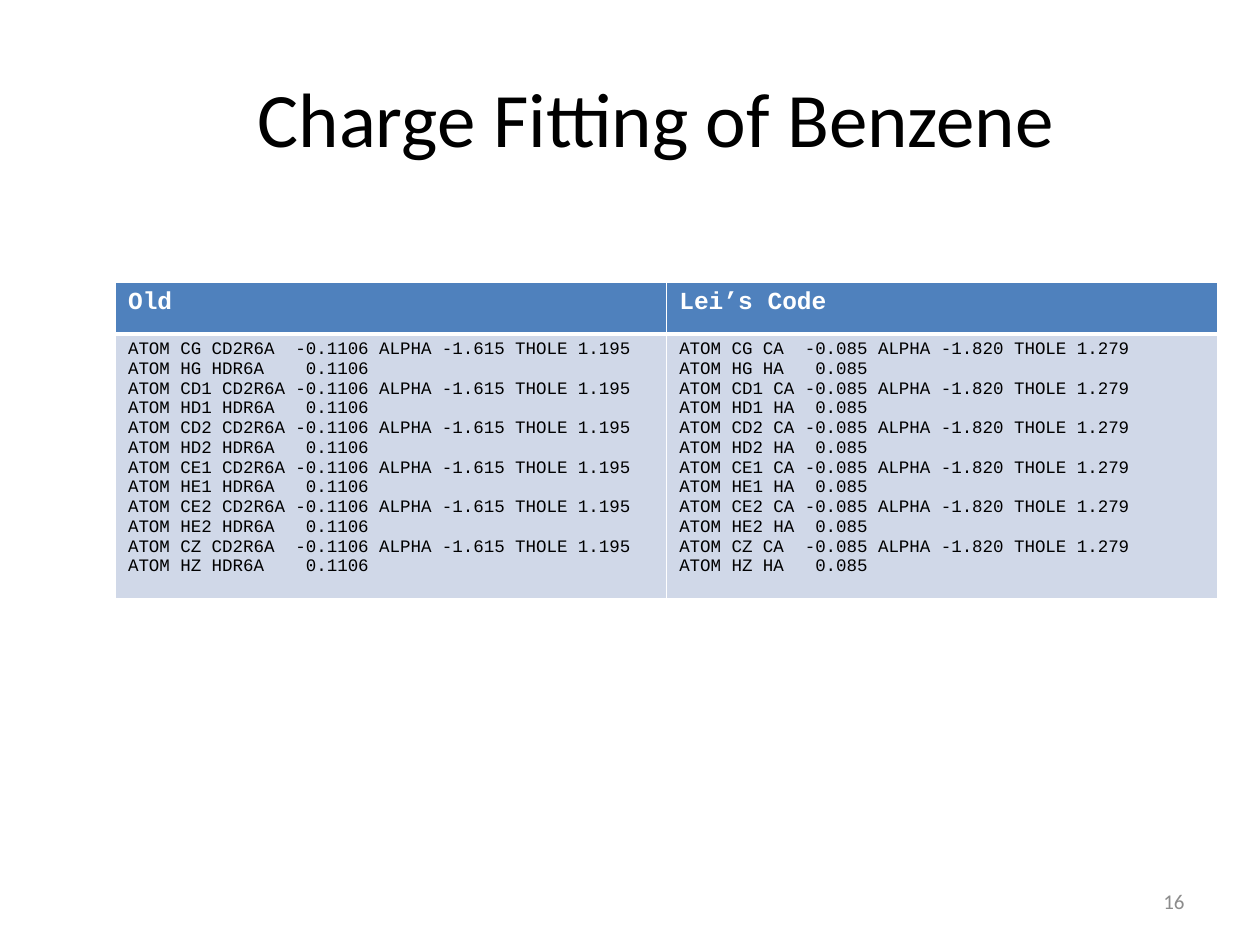
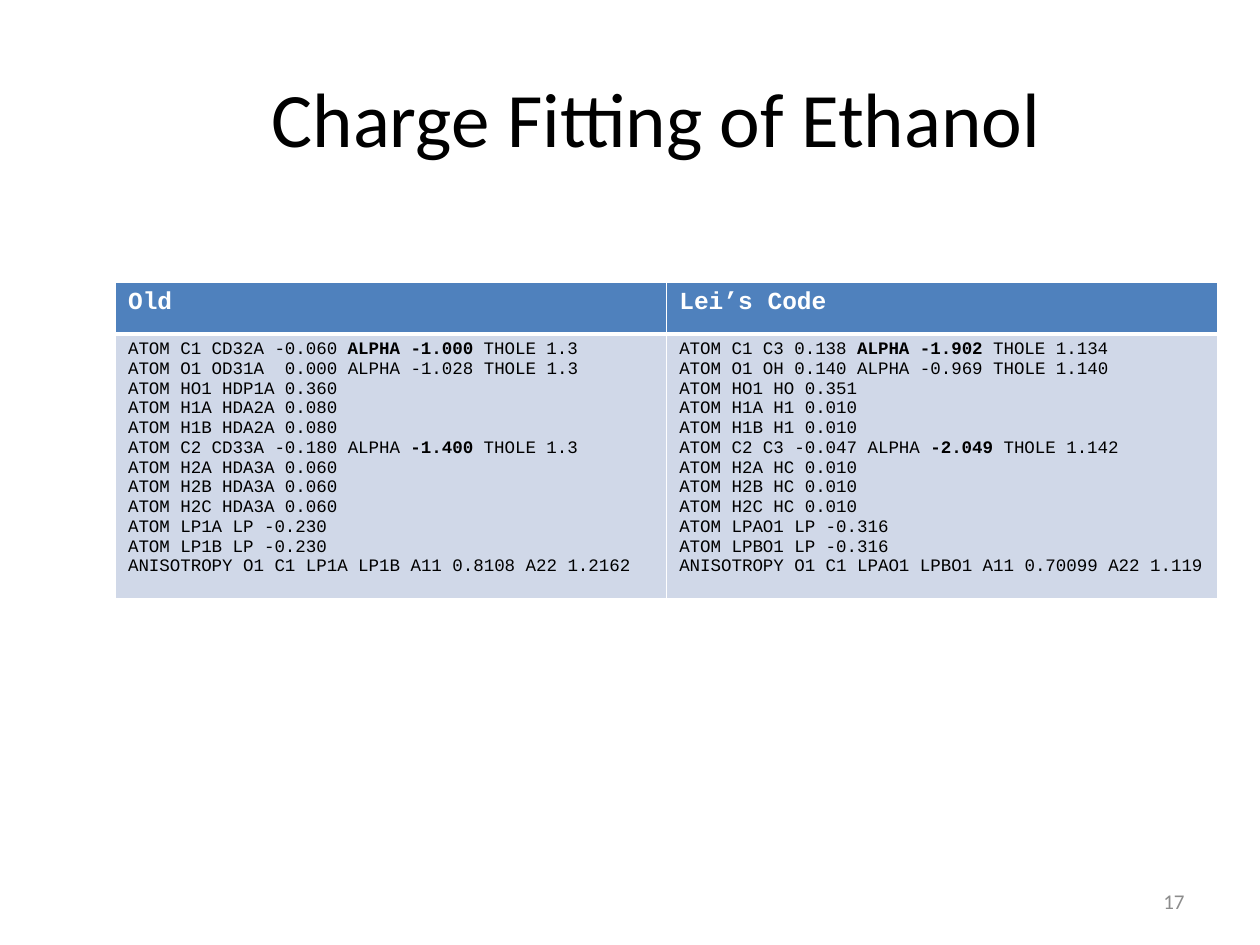
from dataclasses import dataclass

from lxml.etree import SubElement
from pptx import Presentation
from pptx.dml.color import RGBColor
from pptx.enum.text import MSO_ANCHOR, PP_ALIGN
from pptx.oxml.ns import qn
from pptx.util import Inches, Pt

UNIT = Inches(1) // 12  # the slide is a grid of 120 columns by 90 rows
TITLE_ONLY_LAYOUT = 5
FIRST_SLIDE_NUMBER = 16


@dataclass(frozen=True)
class Theme:
    heading_font: str = "Calibri"
    code_font: str = "Courier New"
    title_size: int = 44
    number_size: int = 12
    header_size: int = 14
    code_size: int = 10
    black: str = "000000"
    white: str = "FFFFFF"
    grey: str = "8C8C8C"
    header_fill: str = "4F81BD"
    body_fill: str = "D0D8E8"


@dataclass(frozen=True)
class Box:
    """A place on the slide, in grid units."""
    left: float
    top: float
    width: float
    height: float

    def lengths(self):
        return [round(value * UNIT) for value in
                (self.left, self.top, self.width, self.height)]


THEME = Theme()
TITLE_BOX = Box(11, 3.6, 103, 15)
NUMBER_BOX = Box(86, 83.4, 28, 4.8)
TABLE_BOX = Box(11, 26.9, 105, 28.7)
HEADER_HEIGHT = 4.9
HEADERS = ("Old", "Lei’s Code")

OLD_ETHANOL = """\
ATOM C1 CD32A -0.060 **ALPHA -1.000 **THOLE 1.3
ATOM O1 OD31A  0.000 ALPHA -1.028 THOLE 1.3
ATOM HO1 HDP1A 0.360
ATOM H1A HDA2A 0.080
ATOM H1B HDA2A 0.080
ATOM C2 CD33A -0.180 ALPHA **-1.400** THOLE 1.3
ATOM H2A HDA3A 0.060
ATOM H2B HDA3A 0.060
ATOM H2C HDA3A 0.060
ATOM LP1A LP -0.230
ATOM LP1B LP -0.230
ANISOTROPY O1 C1 LP1A LP1B A11 0.8108 A22 1.2162"""

NEW_ETHANOL = """\
ATOM C1 C3 0.138 **ALPHA -1.902 **THOLE 1.134
ATOM O1 OH 0.140 ALPHA -0.969 THOLE 1.140
ATOM HO1 HO 0.351
ATOM H1A H1 0.010
ATOM H1B H1 0.010
ATOM C2 C3 -0.047 ALPHA **-2.049 **THOLE 1.142
ATOM H2A HC 0.010
ATOM H2B HC 0.010
ATOM H2C HC 0.010
ATOM LPAO1 LP -0.316
ATOM LPBO1 LP -0.316
ANISOTROPY O1 C1 LPAO1 LPBO1 A11 0.70099 A22 1.119"""


def benzene_listing(carbon_type, hydrogen_type, charge, polarizability):
    """List each ring carbon and its hydrogen, with charges in one column."""
    name_width = len(f"ATOM CD1 {carbon_type} ")
    charge_width = len(charge) + 1
    lines = []
    for site in ("G", "D1", "D2", "E1", "E2", "Z"):
        carbon = f"ATOM C{site} {carbon_type}".ljust(name_width)
        hydrogen = f"ATOM H{site} {hydrogen_type}".ljust(name_width)
        lines.append(f"{carbon}-{charge} {polarizability}")
        lines.append(hydrogen + charge.rjust(charge_width))
    return "\n".join(lines)


def style_font(font, name, size, color, bold=None):
    font.name = name
    font.size = Pt(size)
    font.color.rgb = RGBColor.from_string(color)
    font.bold = bold


def add_title(slide, box, text):
    title = slide.shapes.title
    title.left, title.top, title.width, title.height = box.lengths()
    title.text_frame.vertical_anchor = MSO_ANCHOR.MIDDLE
    paragraph = title.text_frame.paragraphs[0]
    paragraph.text = text
    paragraph.alignment = PP_ALIGN.CENTER
    style_font(paragraph.font, THEME.heading_font, THEME.title_size, THEME.black)


def add_slide_number(slide, box, number):
    frame = slide.shapes.add_textbox(*box.lengths()).text_frame
    frame.word_wrap = True
    frame.vertical_anchor = MSO_ANCHOR.MIDDLE
    paragraph = frame.paragraphs[0]
    paragraph.text = str(number)
    paragraph.alignment = PP_ALIGN.RIGHT
    style_font(paragraph.font, THEME.heading_font, THEME.number_size, THEME.grey)


def set_borders(cell, widths):
    """Draw white borders; widths are points for left, right, top, bottom."""
    properties = cell._tc.get_or_add_tcPr()
    for side, width in zip("LRTB", widths):
        line = SubElement(properties, qn(f"a:ln{side}"), w=str(Pt(width)))
        fill = SubElement(line, qn("a:solidFill"))
        SubElement(fill, qn("a:srgbClr"), val=THEME.white)


def fill_cell(cell, text, size, color, fill, borders, bold):
    """Write one paragraph a line, with ** around the bold parts."""
    set_borders(cell, borders)
    cell.fill.solid()
    cell.fill.fore_color.rgb = RGBColor.from_string(fill)
    frame = cell.text_frame
    for index, line in enumerate(text.split("\n")):
        paragraph = frame.add_paragraph() if index else frame.paragraphs[0]
        for part_index, part in enumerate(line.split("**")):
            run = paragraph.add_run()
            run.text = part
            if part_index % 2:
                run.font.bold = True
        style_font(paragraph.font, THEME.code_font, size, color, bold)
        for run in paragraph.runs:
            style_font(run.font, THEME.code_font, size, color,
                       bold or bool(run.font.bold))


def add_comparison_table(slide, box, listings):
    table = slide.shapes.add_table(2, len(HEADERS), *box.lengths()).table
    table.rows[0].height = round(HEADER_HEIGHT * UNIT)
    table.rows[1].height = round((box.height - HEADER_HEIGHT) * UNIT)
    for column, (header, listing) in enumerate(zip(HEADERS, listings)):
        fill_cell(table.cell(0, column), header, THEME.header_size, THEME.white,
                  THEME.header_fill, (1, 1, 1, 3), True)
        fill_cell(table.cell(1, column), listing, THEME.code_size, THEME.black,
                  THEME.body_fill, (1, 1, 3, 1), False)


def add_fitting_slide(presentation, number, molecule, listings):
    layout = presentation.slide_layouts[TITLE_ONLY_LAYOUT]
    slide = presentation.slides.add_slide(layout)
    add_title(slide, TITLE_BOX, f"Charge Fitting of {molecule}")
    add_slide_number(slide, NUMBER_BOX, number)
    add_comparison_table(slide, TABLE_BOX, listings)


def main():
    presentation = Presentation()
    presentation.slide_width = 120 * UNIT
    presentation.slide_height = 90 * UNIT
    benzene = (
        benzene_listing("CD2R6A", "HDR6A", "0.1106", "ALPHA -1.615 THOLE 1.195"),
        benzene_listing("CA", "HA", "0.085", "ALPHA -1.820 THOLE 1.279"),
    )
    molecules = (("Benzene", benzene), ("Ethanol", (OLD_ETHANOL, NEW_ETHANOL)))
    for number, (molecule, listings) in enumerate(molecules, FIRST_SLIDE_NUMBER):
        add_fitting_slide(presentation, number, molecule, listings)
    presentation.save("out.pptx")


if __name__ == "__main__":
    main()
